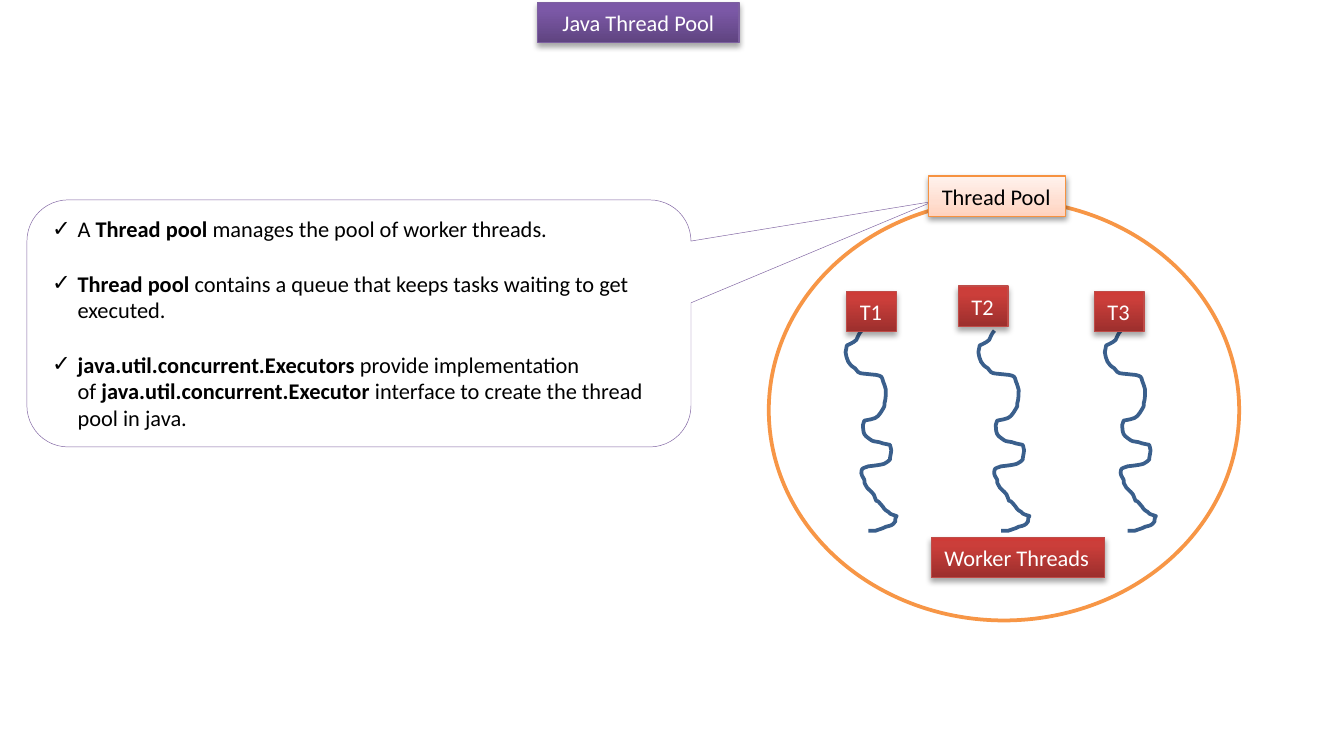
import copy
import dataclasses

import pptx
import pptx.dml.color
import pptx.enum.shapes
import pptx.enum.text
import pptx.oxml
import pptx.oxml.ns
import pptx.util

Cm = pptx.util.Cm
Pt = pptx.util.Pt
RGB = pptx.dml.color.RGBColor.from_string
SHAPE = pptx.enum.shapes.MSO_SHAPE
ALIGN = pptx.enum.text.PP_ALIGN
ANCHOR = pptx.enum.text.MSO_ANCHOR
AUTO_SIZE = pptx.enum.text.MSO_AUTO_SIZE
qn = pptx.oxml.ns.qn


@dataclasses.dataclass(frozen=True)
class Theme:
    font: str = "Calibri"
    size: float = 12
    dark_text: str = "000000"
    light_text: str = "FFFFFF"
    paper: str = "FFFFFF"
    pool_line: str = "F79646"
    thread_line: str = "3A5F8C"
    callout_line: str = "8064A2"


THEME = Theme()

# Label looks: gradient stops from bottom to top, outline, text, shadow (opacity %, distance pt)
PURPLE = {"stops": [(0, "5F4480"), (0.8, "7B58A6"), (1, "7C57A8")],
          "line": "7D60A0", "text": THEME.light_text, "shadow": (35, 1.8)}
RED = {"stops": [(0, "9C2F2D"), (0.8, "CB3E3A"), (1, "CE3B37")],
       "line": "BF4C48", "text": THEME.light_text, "shadow": (35, 1.8)}
PEACH = {"stops": [(0, "FFD2BD"), (0.35, "FFDED0"), (1, "FFF2ED")],
         "line": "F69240", "text": THEME.dark_text, "shadow": (38, 1.6)}

# Content: text, look, left, top, width (cm)
LABEL_HEIGHT = 0.76
TITLE = ("Java Thread Pool", PURPLE, 10.16, 0.05, 3.81)
THREAD_LABELS = [("T1", RED, 16, 5.51, 0.94),
                 ("T2", RED, 18.11, 5.41, 0.94),
                 ("T3", RED, 20.68, 5.51, 0.94)]
POOL_LABELS = [("Thread Pool", PEACH, 17.55, 3.33, 2.59),
               ("Worker Threads", RED, 17.6, 10.16, 3.28)]

# Bullets as (text, bold) runs; the fixed space keeps words on one line
FIXED_SPACE = chr(160)
BULLETS = [
    [("A ", False), ("Thread pool", True), (" manages the pool of worker threads.", False)],
    [("Thread pool ", True),
     ("contains a queue that keeps tasks waiting to get executed.", False)],
    [("java.util.concurrent.Executors", True),
     (f"{FIXED_SPACE}provide implementation of{FIXED_SPACE}", False),
     ("java.util.concurrent.Executor", True),
     (f"{FIXED_SPACE}interface to create the thread pool in java.", False)],
]

# Thread squiggle: start, then Bézier triples, in hundredths of an inch
THREAD_LEFTS = [15.98, 18.49, 20.88]
THREAD_TOP = 6.25
THREAD_UNIT = Cm(0.0254)
THREAD_START = (12, 0)
THREAD_CURVES = [
    (10, 2), (9, 5), (8, 7), (6, 9), (1, 11), (1, 11), (1, 13), (0, 14), (0, 16),
    (1, 22), (2, 25), (7, 28), (8, 30), (10, 32), (13, 32), (13, 32), (23, 33), (23, 33),
    (27, 34), (27, 34), (28, 38), (29, 40), (30, 44), (30, 44), (30, 47), (30, 51), (29, 54),
    (29, 56), (29, 57), (28, 58), (25, 63), (24, 65), (19, 66), (17, 66), (16, 66), (14, 67),
    (13, 68), (13, 69), (13, 70), (13, 72), (13, 75), (14, 77), (14, 78), (16, 79), (17, 80),
    (21, 83), (20, 82), (25, 83), (26, 84), (27, 84), (28, 84), (30, 85), (31, 85), (33, 85),
    (33, 86), (34, 87), (34, 89), (34, 91), (33, 94), (33, 96), (32, 97), (31, 98), (29, 99),
    (27, 100), (17, 101), (17, 101), (15, 102), (12, 102), (12, 104),
    (11, 107), (13, 109), (14, 111), (14, 113), (14, 114), (15, 115),
    (16, 118), (19, 119), (21, 122), (25, 132), (21, 123), (26, 129),
    (29, 132), (28, 133), (32, 135), (33, 137), (36, 137), (38, 138),
    (37, 139), (37, 140), (37, 142), (35, 145), (34, 145), (30, 146),
    (29, 147), (27, 147), (25, 148), (24, 148), (23, 149), (22, 149),
    (20, 149), (19, 149), (17, 149),
]


def set_values(target, values):
    for name, value in values.items():
        setattr(target, name, value)


def format_outline(shape, color, width):
    shape.shadow.inherit = False
    shape.line.color.rgb = RGB(color)
    shape.line.width = Pt(width)


def fill_white(shape):
    shape.fill.solid()
    shape.fill.fore_color.rgb = RGB(THEME.paper)


def format_font(font, color, bold=False):
    set_values(font, {"name": THEME.font, "size": Pt(THEME.size), "bold": bold})
    font.color.rgb = RGB(color)


def fill_gradient(shape, stops):
    shape.fill.gradient()
    shape.fill.gradient_angle = 90
    stop_list = next(shape.element.iter(qn("a:gsLst")))
    stop_list.insert(1, copy.deepcopy(stop_list[0]))
    for stop, (position, color) in zip(shape.fill.gradient_stops, stops):
        stop.position = position
        stop.color.rgb = RGB(color)


def add_shadow(shape, opacity, distance):
    effects = shape.element.spPr.find(qn("a:effectLst"))
    effects.append(pptx.oxml.parse_xml(
        f'<a:outerShdw {pptx.oxml.ns.nsdecls("a")} blurRad="{Pt(3.1)}" dist="{Pt(distance)}" '
        f'dir="5400000" rotWithShape="0"><a:srgbClr val="000000">'
        f'<a:alpha val="{opacity * 1000}"/></a:srgbClr></a:outerShdw>'))


def format_label(shape, label, alignment, frame_format):
    text, look, left, top, width = label
    set_values(shape, {"left": Cm(left), "top": Cm(top),
                       "width": Cm(width), "height": Cm(LABEL_HEIGHT)})
    fill_gradient(shape, look["stops"])
    format_outline(shape, look["line"], 0.75)
    add_shadow(shape, *look["shadow"])
    frame = shape.text_frame
    frame.text = text
    set_values(frame, frame_format)
    frame.paragraphs[0].alignment = alignment
    format_font(frame.paragraphs[0].runs[0].font, look["text"])


def add_label(slide, label):
    shape = slide.shapes.add_shape(SHAPE.RECTANGLE, 0, 0, 0, 0)
    format_label(shape, label, ALIGN.LEFT,
                 {"word_wrap": False, "auto_size": AUTO_SIZE.SHAPE_TO_FIT_TEXT,
                  "vertical_anchor": ANCHOR.TOP})


def add_thread(slide, left):
    builder = slide.shapes.build_freeform(*THREAD_START, scale=THREAD_UNIT)
    builder.add_line_segments(THREAD_CURVES, close=False)
    shape = builder.convert_to_shape(Cm(left), Cm(THREAD_TOP))
    shape.fill.background()
    format_outline(shape, THEME.thread_line, 2)
    # Join every three points into one curve
    path = next(shape.element.iter(qn("a:path")))
    segments = path.findall(qn("a:lnTo"))
    for index in range(0, len(segments), 3):
        curve = path.makeelement(qn("a:cubicBezTo"))
        path.append(curve)
        for segment in segments[index:index + 3]:
            curve.append(segment[0])
            path.remove(segment)


def add_callout(slide):
    shape = slide.shapes.add_shape(SHAPE.ROUNDED_RECTANGULAR_CALLOUT,
                                   Cm(0.51), Cm(3.78), Cm(12.55), Cm(4.67))
    for index, value in enumerate((0.865, -0.494, 0.167)):
        shape.adjustments[index] = value
    fill_white(shape)
    format_outline(shape, THEME.callout_line, 0.25)
    frame = shape.text_frame
    set_values(frame, {"word_wrap": True, "vertical_anchor": ANCHOR.MIDDLE})
    for index, runs in enumerate(BULLETS):
        paragraph = frame.add_paragraph() if index else frame.paragraphs[0]
        paragraph.alignment = ALIGN.LEFT
        if index:
            paragraph.space_before = Pt(14.6)
        properties = paragraph._p.get_or_add_pPr()
        properties.set("marL", str(Cm(0.48)))
        properties.set("indent", str(-Cm(0.48)))
        for tag, values in (("a:buFont", {"typeface": THEME.font}), ("a:buChar", {"char": "✓"})):
            properties.append(properties.makeelement(qn(tag), values))
        for text, bold in runs:
            run = paragraph.add_run()
            run.text = text
            format_font(run.font, THEME.dark_text, bold)


def main():
    presentation = pptx.Presentation()
    set_values(presentation, {"slide_width": Cm(25.4), "slide_height": Cm(13.97)})
    slide = presentation.slides.add_slide(presentation.slide_layouts[5])

    # Title, held at its own height
    format_label(slide.shapes.title, TITLE, ALIGN.CENTER,
                 {"word_wrap": True, "auto_size": AUTO_SIZE.NONE,
                  "vertical_anchor": ANCHOR.MIDDLE})

    # Pool with its threads
    pool = slide.shapes.add_shape(SHAPE.OVAL, Cm(14.53), Cm(3.78), Cm(8.89), Cm(7.95))
    fill_white(pool)
    format_outline(pool, THEME.pool_line, 2)
    for left in THREAD_LEFTS:
        add_thread(slide, left)
    for label in THREAD_LABELS:
        add_label(slide, label)

    # Explanation, then the labels above its tip
    add_callout(slide)
    for label in POOL_LABELS:
        add_label(slide, label)

    presentation.save("out.pptx")


if __name__ == "__main__":
    main()
